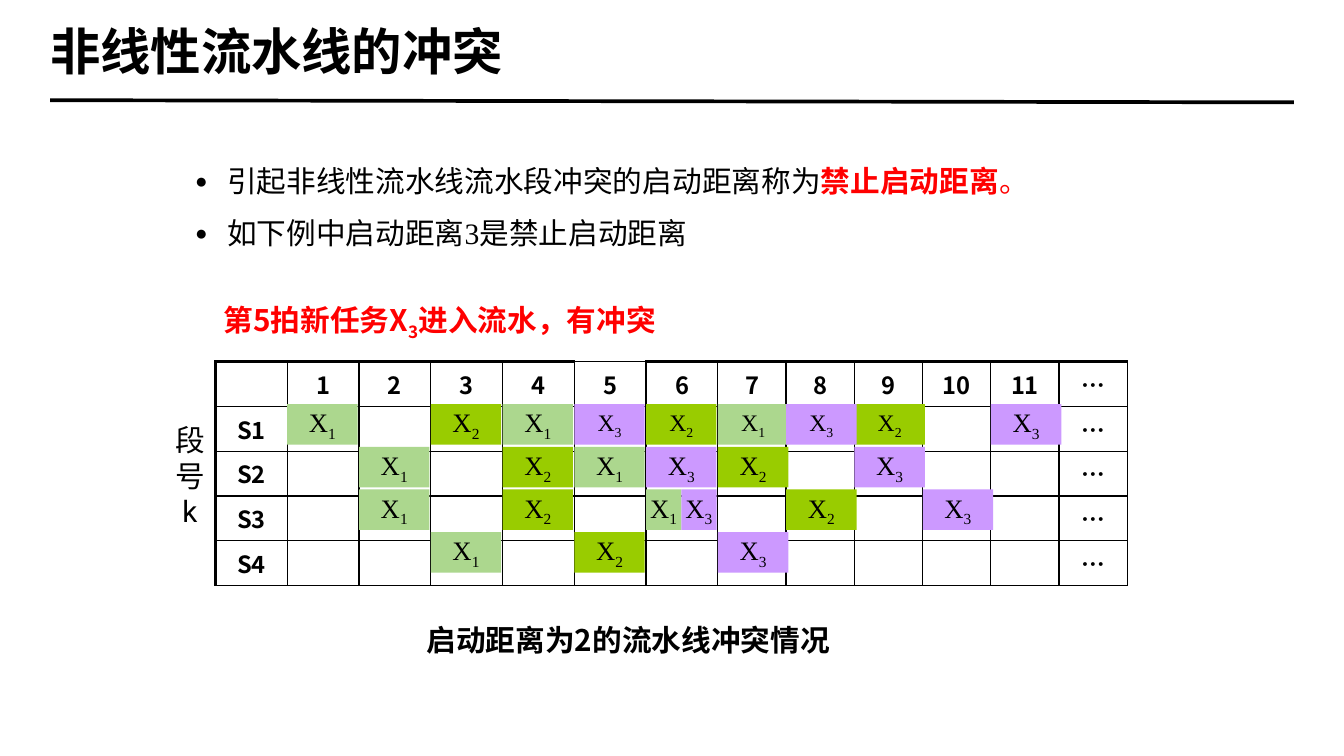
from collections import Counter
from dataclasses import dataclass
from itertools import accumulate

from lxml import etree
from pptx import Presentation
from pptx.dml.color import RGBColor
from pptx.enum.shapes import MSO_CONNECTOR, MSO_SHAPE
from pptx.enum.text import MSO_ANCHOR, MSO_AUTO_SIZE, PP_ALIGN
from pptx.oxml.ns import qn
from pptx.util import Emu, Inches, Pt

LEFT, CENTER = PP_ALIGN.LEFT, PP_ALIGN.CENTER
TOP, MIDDLE = MSO_ANCHOR.TOP, MSO_ANCHOR.MIDDLE
FIXED, GROW = MSO_AUTO_SIZE.NONE, MSO_AUTO_SIZE.SHAPE_TO_FIT_TEXT
RECTANGLE, STRAIGHT = MSO_SHAPE.RECTANGLE, MSO_CONNECTOR.STRAIGHT


@dataclass(frozen=True)
class Theme:
    ink: str = "000000"
    alert: str = "FF0000"
    first_task: str = "ACD78E"
    second_task: str = "99CC00"
    third_task: str = "CC99FF"
    title_size: int = 34
    text_size: int = 20
    chip_size: int = 18
    small_size: int = 16
    title_font: str = "Arial"
    text_font: str = "Times New Roman"
    label_font: str = "Noto Sans CJK SC"
    axis_font: str = "Roboto"
    thin: float = 1
    thick: float = 2.25
    rule: float = 2.5


THEME = Theme()


@dataclass(frozen=True)
class Box:
    col: float
    row: float
    cols: float
    rows: float

    def lengths(self) -> tuple[Emu, Emu, Emu, Emu]:
        return grid(self.col), grid(self.row), grid(self.cols), grid(self.rows)


@dataclass(frozen=True)
class Piece:
    text: str
    color: str = THEME.ink
    bold: bool = False
    subscript: bool = False


@dataclass(frozen=True)
class Task:
    number: str
    start: int
    fill: str


SLIDE_COLS, SLIDE_ROWS = 126, 70.9
TABLE_LEFT, TABLE_TOP, TABLE_ROW = 20.2, 33.9, 4
TABLE_COLS = [6.73] * 7 + [6.4] * 6
COLUMN_LEFTS = list(accumulate(TABLE_COLS, initial=TABLE_LEFT))
CHIP_COLS, CHIP_ROWS = 6.6, 3.8
STAGES = ["S1", "S2", "S3", "S4"]
CLOCKS = [str(clock) for clock in range(1, 12)]
STAGE_DELAYS = {1: (0, 3, 6), 2: (1, 4), 3: (1, 5), 4: (2,)}
TASKS = [
    Task("1", 1, THEME.first_task),
    Task("2", 3, THEME.second_task),
    Task("3", 5, THEME.third_task),
]
BULLETS = [
    [
        Piece("引起非线性流水线流水段冲突的启动距离称为"),
        Piece("禁止启动距离", THEME.alert, True),
        Piece("。", THEME.alert),
    ],
    [Piece("如下例中启动距离3是禁止启动距离")],
]


def grid(steps: float) -> Emu:
    return Inches(steps / 10)


def write(paragraph, pieces: list[Piece], font: str, size: int, align=LEFT) -> None:
    paragraph.alignment = align
    for piece in pieces:
        run = paragraph.add_run()
        run.text = piece.text
        run.font.name, run.font.size, run.font.bold = font, Pt(size), piece.bold
        run.font.color.rgb = RGBColor.from_string(piece.color)
        if piece.subscript:
            run._r.get_or_add_rPr().set("baseline", "-25000")


def place(placeholder, box: Box) -> None:
    placeholder.left, placeholder.top, placeholder.width, placeholder.height = box.lengths()
    placeholder.text_frame.auto_size = FIXED


def draw_heading(slide) -> None:
    heading = slide.shapes.title
    place(heading, Box(4.7, 1.6, 116.5, 6.3))
    frame = heading.text_frame
    frame.vertical_anchor = MIDDLE
    frame.margin_left = frame.margin_right = frame.margin_top = frame.margin_bottom = 0
    write(frame.paragraphs[0], [Piece("非线性流水线的冲突", bold=True)],
          THEME.title_font, THEME.title_size)
    rule = slide.shapes.add_connector(STRAIGHT, grid(4.7), grid(9.4), grid(121.3), grid(9.6))
    rule.line.color.rgb = RGBColor.from_string(THEME.ink)
    rule.line.width = Pt(THEME.rule)
    etree.SubElement(rule._element.spPr, qn("a:effectLst"))


def draw_bullets(slide) -> None:
    body = slide.placeholders[1]
    place(body, Box(17.3, 13.8, 113.3 - 17.3, 13.7))
    frame = body.text_frame
    frame.vertical_anchor = TOP
    for index, pieces in enumerate(BULLETS):
        paragraph = frame.add_paragraph() if index else frame.paragraphs[0]
        properties = paragraph._p.get_or_add_pPr()
        properties.set("marL", str(grid(3)))
        properties.set("indent", str(-grid(3)))
        etree.SubElement(properties, qn("a:buSzPct"), val="70000")
        etree.SubElement(properties, qn("a:buFont"), typeface=THEME.title_font)
        etree.SubElement(properties, qn("a:buChar"), char="●")
        paragraph.line_spacing = 1.3
        paragraph.space_before, paragraph.space_after = Pt(2 if index else 0), Pt(2)
        write(paragraph, pieces, THEME.text_font, THEME.text_size)


def draw_label(slide, box: Box, pieces: list[Piece], font: str, fit=FIXED) -> None:
    frame = slide.shapes.add_textbox(*box.lengths()).text_frame
    frame.word_wrap = True
    frame.auto_size = fit
    write(frame.paragraphs[0], pieces, font, THEME.text_size)


def set_borders(cell, left: float, top: float) -> None:
    properties = cell._tc.get_or_add_tcPr()
    widths = {"a:lnL": left, "a:lnR": THEME.thin, "a:lnT": top, "a:lnB": THEME.thin}
    for position, (side, width) in enumerate(widths.items()):
        border = etree.Element(qn(side), w=str(Pt(width)))
        paint = etree.SubElement(border, qn("a:solidFill"))
        etree.SubElement(paint, qn("a:srgbClr"), val=THEME.ink)
        properties.insert(position, border)


def draw_schedule(slide) -> None:
    rows = [["", *CLOCKS, "…"]] + [[stage, *[""] * len(CLOCKS), "…"] for stage in STAGES]
    box = Box(TABLE_LEFT, TABLE_TOP, sum(TABLE_COLS), TABLE_ROW * len(rows))
    schedule = slide.shapes.add_table(len(rows), len(TABLE_COLS), *box.lengths()).table
    schedule.first_row = schedule.horz_banding = False
    for column, width in zip(schedule.columns, TABLE_COLS):
        column.width = grid(width)
    for r, texts in enumerate(rows):
        schedule.rows[r].height = grid(TABLE_ROW)
        for c, text in enumerate(texts):
            cell = schedule.cell(r, c)
            cell.fill.background()
            set_borders(cell, THEME.thin if c else THEME.thick,
                        THEME.thin if r or text == "5" else THEME.thick)
            if r and text == "…":
                cell.vertical_anchor = MIDDLE
            if text:
                write(cell.text_frame.paragraphs[0], [Piece(text, bold=True)],
                      THEME.label_font, THEME.small_size, CENTER)


def draw_chip(slide, box: Box, task: Task, size: int) -> None:
    chip = slide.shapes.add_shape(RECTANGLE, *box.lengths())
    chip.shadow.inherit = False
    chip.fill.solid()
    chip.fill.fore_color.rgb = RGBColor.from_string(task.fill)
    chip.line.fill.background()
    frame = chip.text_frame
    frame.word_wrap = False
    frame.vertical_anchor = MIDDLE
    write(frame.paragraphs[0], [Piece("X"), Piece(task.number, subscript=True)],
          THEME.text_font, size, CENTER)


def draw_tasks(slide) -> None:
    visits = [(task, stage, task.start + delay) for task in TASKS
              for stage, delays in STAGE_DELAYS.items() for delay in delays]
    sharing = Counter((stage, clock) for _, stage, clock in visits)
    placed: Counter = Counter()
    for task, stage, clock in visits:
        slot = (stage, clock)
        width = CHIP_COLS / sharing[slot]
        left = COLUMN_LEFTS[clock] + placed[slot] * width
        placed[slot] += 1
        size = THEME.small_size if stage == 1 and 5 <= clock <= 9 else THEME.chip_size
        draw_chip(slide, Box(left, TABLE_TOP + stage * TABLE_ROW, width, CHIP_ROWS), task, size)


def main() -> None:
    deck = Presentation()
    deck.slide_width, deck.slide_height = grid(SLIDE_COLS), grid(SLIDE_ROWS)
    slide = deck.slides.add_slide(deck.slide_layouts[1])
    draw_heading(slide)
    draw_bullets(slide)
    draw_label(slide, Box(39, 57.8, 47.3, 5),
               [Piece("启动距离为2的流水线冲突情况", bold=True)], THEME.label_font)
    draw_label(slide, Box(20, 27.8, 51.6, 5.6),
               [Piece("第5拍新任务X", THEME.alert, True), Piece("3", THEME.alert, True, True),
                Piece("进入流水，有冲突", THEME.alert, True)], THEME.label_font)
    draw_schedule(slide)
    draw_label(slide, Box(15.5, 39.1, 4.3, 11), [Piece("段号 k")], THEME.axis_font, GROW)
    draw_tasks(slide)
    deck.save("out.pptx")


if __name__ == "__main__":
    main()
